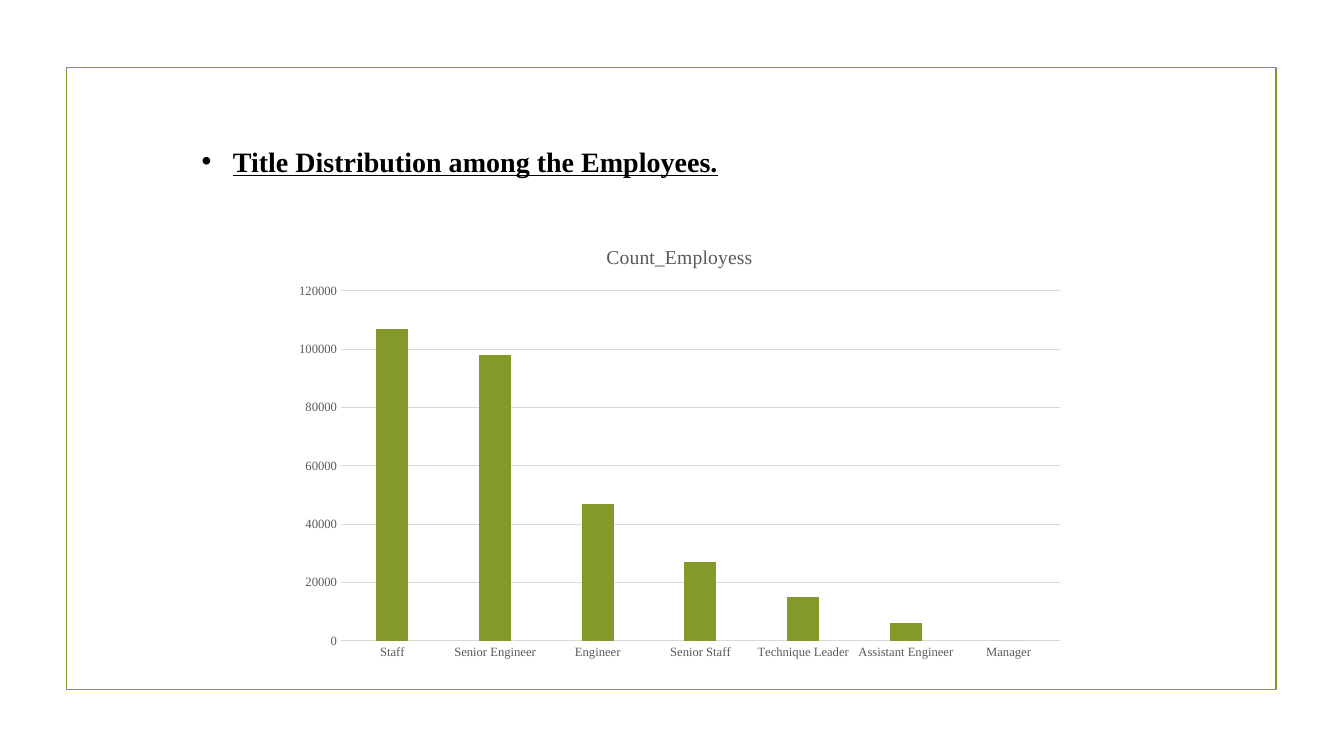
from lxml import etree
from pptx import Presentation
from pptx.chart import data
from pptx.dml import color
from pptx.enum import chart as charts, shapes, text
from pptx.oxml import ns
from pptx.util import Inches, Pt

COLORS = {"olive": "83992A", "black": "000000", "gray": "595959", "grid": "D9D9D9"}
FONT = "Times New Roman"
SERIES = "Count_Employess"
EMPLOYEES = {
    "Staff": 107000,
    "Senior Engineer": 98000,
    "Engineer": 47000,
    "Senior Staff": 27000,
    "Technique Leader": 15000,
    "Assistant Engineer": 6000,
    "Manager": 0,
}


def rgb(name):
    return color.RGBColor.from_string(COLORS[name])


def style(font, shade, **formats):
    font.color.rgb = rgb(shade)
    for key, value in {"name": FONT, "bold": False, **formats}.items():
        setattr(font, key, value)


deck = Presentation()
deck.slide_width, deck.slide_height = Inches(13.33), Inches(7.5)
page = deck.slides.add_slide(deck.slide_layouts[5])

frame = page.shapes.add_shape(
    shapes.MSO_SHAPE.RECTANGLE, Inches(0.66), Inches(0.67), Inches(12), Inches(6.17)
)
frame.shadow.inherit = False
frame.fill.background()
frame.line.color.rgb = rgb("olive")
frame.line.width = Pt(1.25)

staffing = data.CategoryChartData()
staffing.categories = list(EMPLOYEES)
staffing.add_series(SERIES, list(EMPLOYEES.values()))
chart = page.shapes.add_chart(
    charts.XL_CHART_TYPE.COLUMN_CLUSTERED,
    Inches(2.81), Inches(2.25), Inches(7.86), Inches(4.38), staffing,
).chart
style(chart.font, "black", size=Pt(10))
chart.has_legend = False
chart.has_title = True
chart.chart_title.include_in_layout = False
chart.chart_title.text_frame.text = SERIES
caption = chart.chart_title.text_frame.paragraphs[0].runs[0]
style(caption.font, "gray", size=Pt(14))

plot = chart.plots[0]
plot.gap_width, plot.overlap = 219, -27
plot.vary_by_categories = False
columns = plot.series[0]
columns.format.fill.solid()
columns.format.fill.fore_color.rgb = rgb("olive")

for axis in (chart.category_axis, chart.value_axis):
    axis.major_tick_mark = axis.minor_tick_mark = charts.XL_TICK_MARK.NONE
    style(axis.tick_labels.font, "gray", size=Pt(9))
chart.value_axis.maximum_scale = 120000
chart.value_axis.minimum_scale = 0
chart.value_axis.major_unit = 20000
chart.value_axis.format.line.fill.background()
for line in (chart.category_axis.format.line, chart.value_axis.major_gridlines.format.line):
    line.color.rgb = rgb("grid")
    line.width = Pt(0.75)

title = page.shapes.title
title.left, title.top, title.width, title.height = map(Inches, (1.9, 1.38, 7.92, 0.44))
box = title.text_frame
box.word_wrap = True
box.auto_size = text.MSO_AUTO_SIZE.NONE
box.vertical_anchor = text.MSO_ANCHOR.MIDDLE
para = box.paragraphs[0]
para.alignment = text.PP_ALIGN.LEFT
span = para.add_run()
span.text = "Title Distribution among the Employees."
style(span.font, "black", size=Pt(20), bold=True, underline=True)
props = para._p.get_or_add_pPr()
props.set("marL", str(Inches(0.31)))
props.set("indent", str(Inches(-0.31)))
etree.SubElement(props, ns.qn("a:buFont"), typeface="Arial")
etree.SubElement(props, ns.qn("a:buChar"), char="•")

deck.save("out.pptx")
